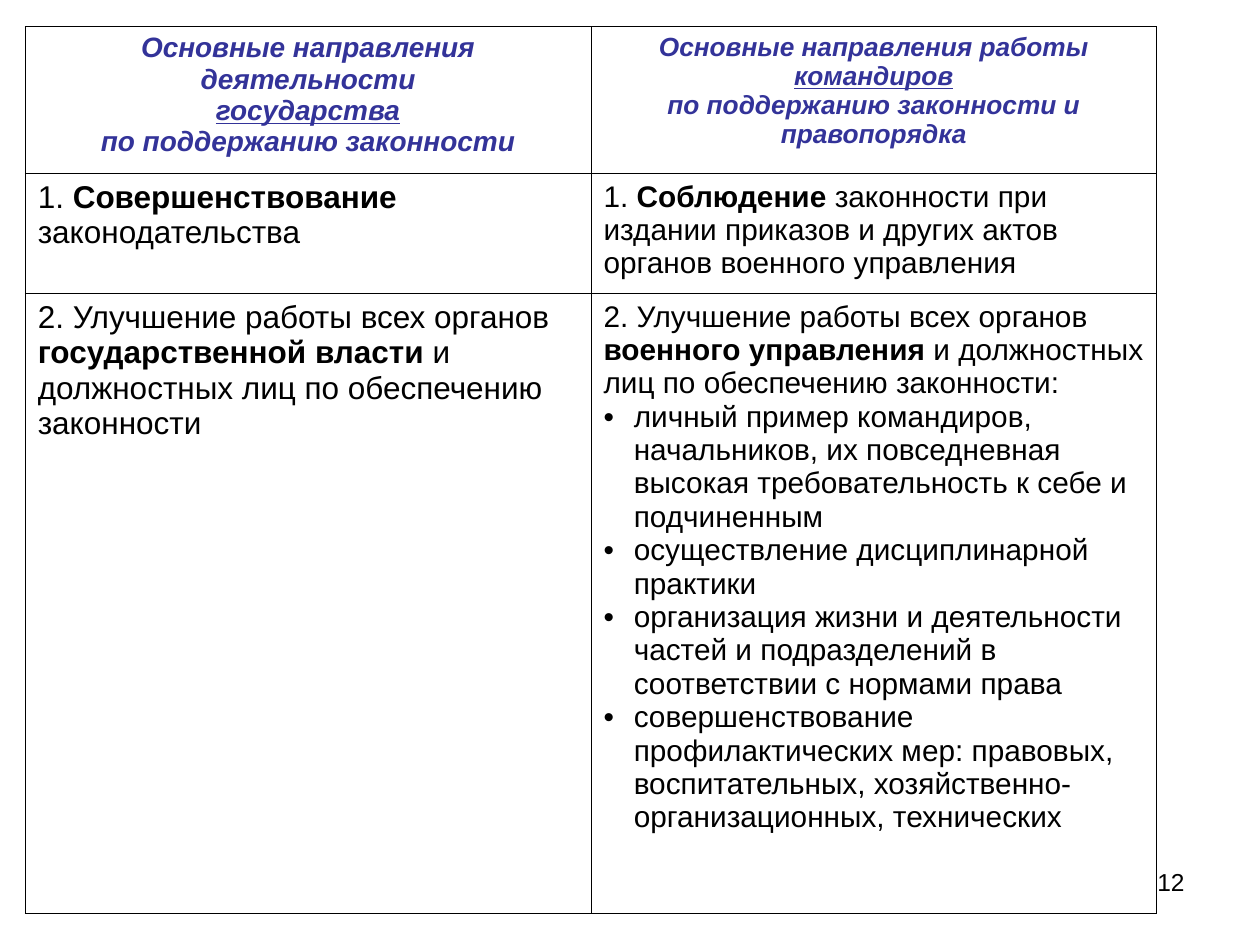
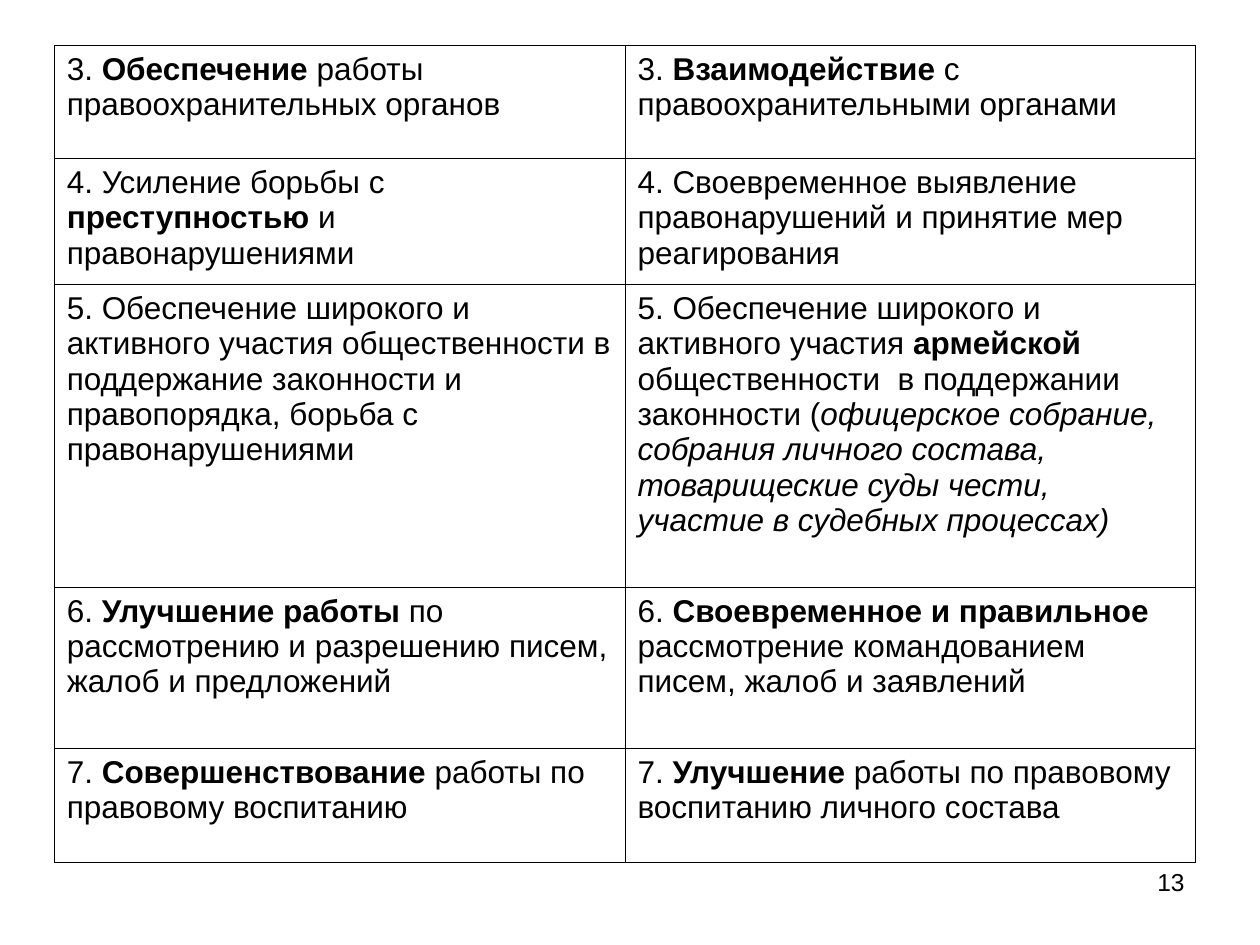
import pptx
import pptx.dml.color
import pptx.enum.text
import pptx.oxml.ns
import pptx.util
from lxml import etree

COLORS = {"text": "000000", "heading": "333399", "grid": "000000", "page": "FFFFFF"}
FONT = "Arial"
SLIDE_WIDTH, SLIDE_HEIGHT = 10, 7.5
PAGE_NUMBER_BOX = (7.17, 6.83, 2.33, 0.52)
PAGE_NUMBER_SIZE = 14
GRID_WIDTH = 0.45
BULLET_INDENT = 0.24

BOLD, ITALIC, UNDERLINE = "bold", "italic", "underline"

HEADINGS = (
    [
        ["Основные направления деятельности"],
        [("государства", UNDERLINE)],
        ["по поддержанию законности"],
    ],
    [
        ["Основные направления работы"],
        [("командиров", UNDERLINE)],
        ["по поддержанию законности и правопорядка"],
    ],
)

PAGES = [
    {
        "number": 12,
        "origin": (0.2, 0.21),
        "column_width": 4.49,
        "row_heights": [1.17, 0.95, 4.92],
        "heading_sizes": (16, 15),
        "body_sizes": (18, 17),
        "headings": HEADINGS,
        "directions": [
            (
                ["1. ", ("Совершенствование", BOLD), " законодательства"],
                ["1. ", ("Соблюдение", BOLD),
                 " законности при издании приказов и других актов органов военного управления"],
            ),
            (
                ["2. Улучшение работы всех органов ", ("государственной власти", BOLD),
                 " и должностных лиц по обеспечению законности"],
                ["2. Улучшение работы всех органов ", ("военного управления", BOLD),
                 " и должностных лиц по обеспечению законности:"],
            ),
        ],
        "measures": [
            "личный пример командиров, начальников, их повседневная высокая "
            "требовательность к себе и подчиненным",
            "осуществление дисциплинарной практики",
            "организация жизни и деятельности частей и подразделений "
            "в соответствии с нормами права",
            "совершенствование профилактических мер: правовых, воспитательных, "
            "хозяйственно-организационных, технических",
        ],
    },
    {
        "number": 13,
        "origin": (0.43, 0.36),
        "column_width": 4.53,
        "row_heights": [0.9, 1, 2.4, 1.28, 0.9],
        "body_sizes": (18, 18),
        "directions": [
            (
                ["3. ", ("Обеспечение", BOLD), " работы правоохранительных органов"],
                ["3. ", ("Взаимодействие", BOLD), " с правоохранительными органами"],
            ),
            (
                ["4. Усиление борьбы с ", ("преступностью", BOLD), " и правонарушениями"],
                ["4. Своевременное выявление правонарушений и принятие мер реагирования"],
            ),
            (
                ["5. Обеспечение широкого и активного участия общественности в поддержание "
                 "законности и правопорядка, борьба с правонарушениями"],
                ["5. Обеспечение широкого и активного участия ", ("армейской", BOLD),
                 " общественности  в поддержании законности (",
                 ("офицерское собрание, собрания личного состава, товарищеские суды чести, "
                  "участие в судебных процессах)", ITALIC)],
            ),
            (
                ["6. ", ("Улучшение работы", BOLD),
                 " по рассмотрению и разрешению писем, жалоб и предложений"],
                ["6. ", ("Своевременное и правильное", BOLD),
                 " рассмотрение командованием писем, жалоб и заявлений"],
            ),
            (
                ["7. ", ("Совершенствование", BOLD), " работы по правовому воспитанию"],
                ["7. ", ("Улучшение", BOLD), " работы по правовому воспитанию личного состава"],
            ),
        ],
    },
]


def write_paragraph(paragraph, pieces, size, color="text", heading=False):
    for piece in pieces:
        wording, emphasis = (piece, None) if isinstance(piece, str) else piece
        run = paragraph.add_run()
        run.text = wording
        run.font.name = FONT
        run.font.size = pptx.util.Pt(size)
        run.font.color.rgb = pptx.dml.color.RGBColor.from_string(COLORS[color])
        run.font.bold = run.font.italic = heading
        if emphasis:
            setattr(run.font, emphasis, True)
    if heading:
        paragraph.alignment = pptx.enum.text.PP_ALIGN.CENTER


def add_bullet(paragraph):
    indent = pptx.util.Inches(BULLET_INDENT)
    properties = paragraph._p.get_or_add_pPr()
    properties.set("marL", str(indent))
    properties.set("indent", str(-indent))
    etree.SubElement(properties, pptx.oxml.ns.qn("a:buFont"), typeface=FONT)
    etree.SubElement(properties, pptx.oxml.ns.qn("a:buChar"), char="•")


def outline(cell):
    properties = cell._tc.get_or_add_tcPr()
    for side in ("lnL", "lnR", "lnT", "lnB"):
        border = etree.SubElement(properties, pptx.oxml.ns.qn(f"a:{side}"),
                                  w=str(pptx.util.Pt(GRID_WIDTH)))
        fill = etree.SubElement(border, pptx.oxml.ns.qn("a:solidFill"))
        etree.SubElement(fill, pptx.oxml.ns.qn("a:srgbClr"), val=COLORS["grid"])
    cell.fill.background()


def add_directions(slide, page):
    heights = page["row_heights"]
    left, top = page["origin"]
    frame = slide.shapes.add_table(len(heights), 2, *map(pptx.util.Inches, (
        left, top, 2 * page["column_width"], sum(heights))))
    grid = frame.table
    grid.first_row = grid.horz_banding = False
    for column in grid.columns:
        column.width = pptx.util.Inches(page["column_width"])
    for row, height in zip(grid.rows, heights):
        row.height = pptx.util.Inches(height)
    for cell in grid.iter_cells():
        outline(cell)

    has_headings = "headings" in page
    if has_headings:
        for cell, lines, size in zip(grid.rows[0].cells, page["headings"], page["heading_sizes"]):
            for index, pieces in enumerate(lines):
                text = cell.text_frame
                paragraph = text.add_paragraph() if index else text.paragraphs[0]
                write_paragraph(paragraph, pieces, size, "heading", heading=True)

    for row, pair in enumerate(page["directions"], start=int(has_headings)):
        for cell, pieces, size in zip(grid.rows[row].cells, pair, page["body_sizes"]):
            write_paragraph(cell.text_frame.paragraphs[0], pieces, size)

    commanders_text = grid.cell(len(heights) - 1, 1).text_frame
    for measure in page.get("measures", []):
        paragraph = commanders_text.add_paragraph()
        add_bullet(paragraph)
        write_paragraph(paragraph, [measure], page["body_sizes"][1])


def add_page_number(slide, number):
    text = slide.shapes.add_textbox(*map(pptx.util.Inches, PAGE_NUMBER_BOX)).text_frame
    text.word_wrap = True
    write_paragraph(text.paragraphs[0], [str(number)], PAGE_NUMBER_SIZE)
    text.paragraphs[0].alignment = pptx.enum.text.PP_ALIGN.RIGHT


def main():
    deck = pptx.Presentation()
    deck.slide_width = pptx.util.Inches(SLIDE_WIDTH)
    deck.slide_height = pptx.util.Inches(SLIDE_HEIGHT)
    background = deck.slide_master.background.fill
    background.solid()
    background.fore_color.rgb = pptx.dml.color.RGBColor.from_string(COLORS["page"])
    blank = deck.slide_layouts.get_by_name("Blank")
    for page in PAGES:
        slide = deck.slides.add_slide(blank)
        add_page_number(slide, page["number"])
        add_directions(slide, page)
    deck.save("out.pptx")


if __name__ == "__main__":
    main()
